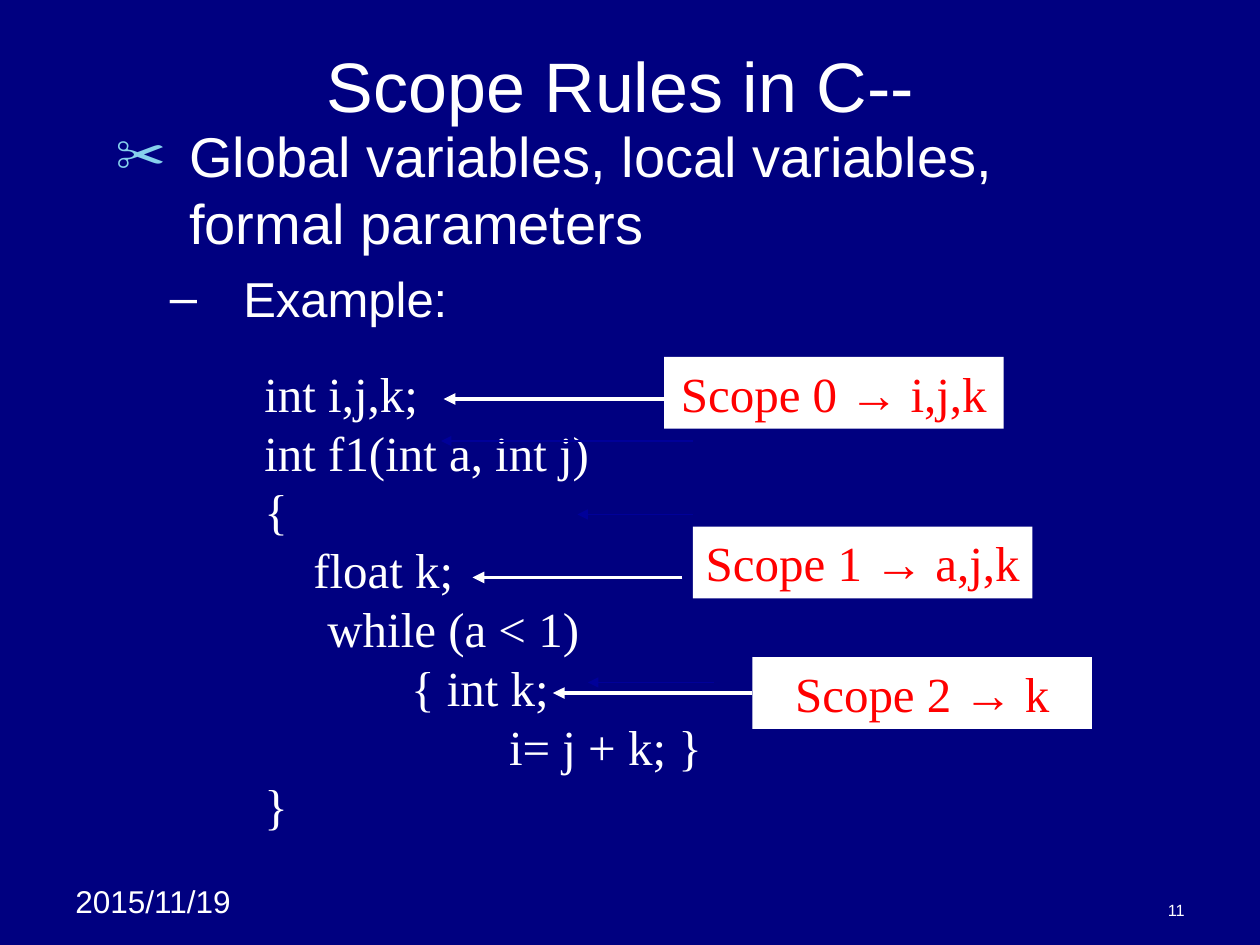
"""Build a slide on scope rules with code, scope labels and arrows."""
from lxml import etree
from pptx import Presentation
from pptx import util as u
from pptx.dml.color import RGBColor
from pptx.enum import shapes, text
from pptx.oxml import ns

HUES = {"back": "000080", "white": "FFFFFF", "red": "FF0000",
        "mark": "86D1EC", "dim": "000099"}
SANS, SERIF = "Arial", "Times New Roman"
ALIGN, ANCHOR = text.PP_ALIGN, text.MSO_ANCHOR

CODE = ["int i,j,k;", "int f1(int a, int j)", "{", "    float k;",
        "\twhile (a < 1)", "            { int k;",
        "                    i= j + k; }", "}"]
LABELS = [(379.5, 204, "Scope 0 ", " i,j,k"),
          (396, 301, "Scope 1 ", " a,j,k"),
          (430, 375.5, "Scope 2 ", " k")]
DIM = [(396, 252, 252), (396, 330, 294), (408, 336, 390)]
BRIGHT = [(379.5, 253.5, 228), (390, 270, 330), (430, 316, 396)]


def hue(name):
    """Return a named colour."""
    return RGBColor.from_string(HUES[name])


def sub(node, tag, **attrs):
    """Append a drawing element and return it."""
    return etree.SubElement(node, ns.qn(tag), **attrs)


def add_run(para, words, size, face, color="white"):
    """Add one styled run."""
    run = para.add_run()
    run.text = words
    run.font.size = u.Pt(size)
    run.font.name = face
    run.font.color.rgb = hue(color)


def add_box(slide, area, anchor=ANCHOR.TOP):
    """Add a wrapping text box and return its frame."""
    frame = slide.shapes.add_textbox(*map(u.Pt, area)).text_frame
    frame.word_wrap = True
    frame.vertical_anchor = anchor
    return frame


def add_line(slide, area, words, size, align=ALIGN.LEFT, anchor=ANCHOR.TOP):
    """Add a box with a single line of text."""
    para = add_box(slide, area, anchor).paragraphs[0]
    para.alignment = align
    add_run(para, words, size, SANS)


def add_point(para, words, size, left, sign, color, scale):
    """Fill a paragraph with a bulleted point."""
    props = para._p.get_or_add_pPr()
    props.set("marL", str(u.Pt(left)))
    props.set("indent", str(u.Pt(-42)))
    sub(sub(props, "a:buClr"), "a:srgbClr", val=HUES[color])
    sub(props, "a:buSzPct", val=str(scale * 1000))
    sub(props, "a:buFont", typeface=SANS)
    sub(props, "a:buChar", char=sign)
    add_run(para, words, size, SANS)


def add_code(slide):
    """Add the code listing, one paragraph a line."""
    frame = add_box(slide, (144, 204, 342, 276.5))
    for row, words in enumerate(CODE):
        para = frame.add_paragraph() if row else frame.paragraphs[0]
        add_run(para, words, 28, SERIF)


def add_label(slide, left, top, name, names):
    """Add a white scope label and return it."""
    box = slide.shapes.add_shape(shapes.MSO_SHAPE.RECTANGLE,
                                 *map(u.Pt, (left, top, 194, 41)))
    box.shadow.inherit = False
    box.fill.solid()
    box.fill.fore_color.rgb = hue("white")
    box.line.fill.background()
    frame = box.text_frame
    frame.word_wrap = True
    frame.vertical_anchor = ANCHOR.TOP
    para = frame.paragraphs[0]
    para.alignment = ALIGN.CENTER
    for words, face in ((name, SERIF), ("→", SANS), (names, SERIF)):
        add_run(para, words, 28, face, "red")
    return box


def add_arrow(slide, start, end, top, color, width):
    """Add a level arrow and return it."""
    arrow = slide.shapes.add_connector(shapes.MSO_CONNECTOR.STRAIGHT,
                                       *map(u.Pt, (start, top, end, top)))
    arrow.line.color.rgb = hue(color)
    arrow.line.width = u.Pt(width)
    sub(arrow.line._get_or_add_ln(), "a:tailEnd", type="triangle")
    sub(arrow._element.spPr, "a:effectLst")
    return arrow


def main():
    """Build and save the slide."""
    deck = Presentation()
    deck.slide_width, deck.slide_height = u.Pt(720), u.Pt(540)
    slide = deck.slides.add_slide(deck.slide_layouts[6])
    slide.background.fill.solid()
    slide.background.fill.fore_color.rgb = hue("back")

    add_line(slide, (36, 500.5, 114, 29), "2015/11/19", 18)
    add_line(slide, (516, 510, 168, 19), "11", 9.3, ALIGN.RIGHT, ANCHOR.BOTTOM)
    add_line(slide, (54, 18, 612, 60), "Scope Rules in C-- ", 40,
             ALIGN.CENTER, ANCHOR.MIDDLE)

    body = add_box(slide, (54, 66, 612, 402))
    add_point(body.paragraphs[0],
              "Global variables, local variables, formal parameters",
              32, 47, "✂", "mark", 90)
    para = body.add_paragraph()
    add_point(para, "Example:", 28, 78, "–", "white", 100)
    para.level = 1
    para.space_before = u.Pt(7)

    add_code(slide)
    for label, dim in zip(LABELS, DIM):
        box = add_label(slide, *label)
        add_arrow(slide, *dim, "dim", 1)
    for place in BRIGHT:
        arrow = add_arrow(slide, *place, "white", 2.25)
    arrow.begin_connect(box, 1)
    deck.save("out.pptx")


if __name__ == "__main__":
    main()
